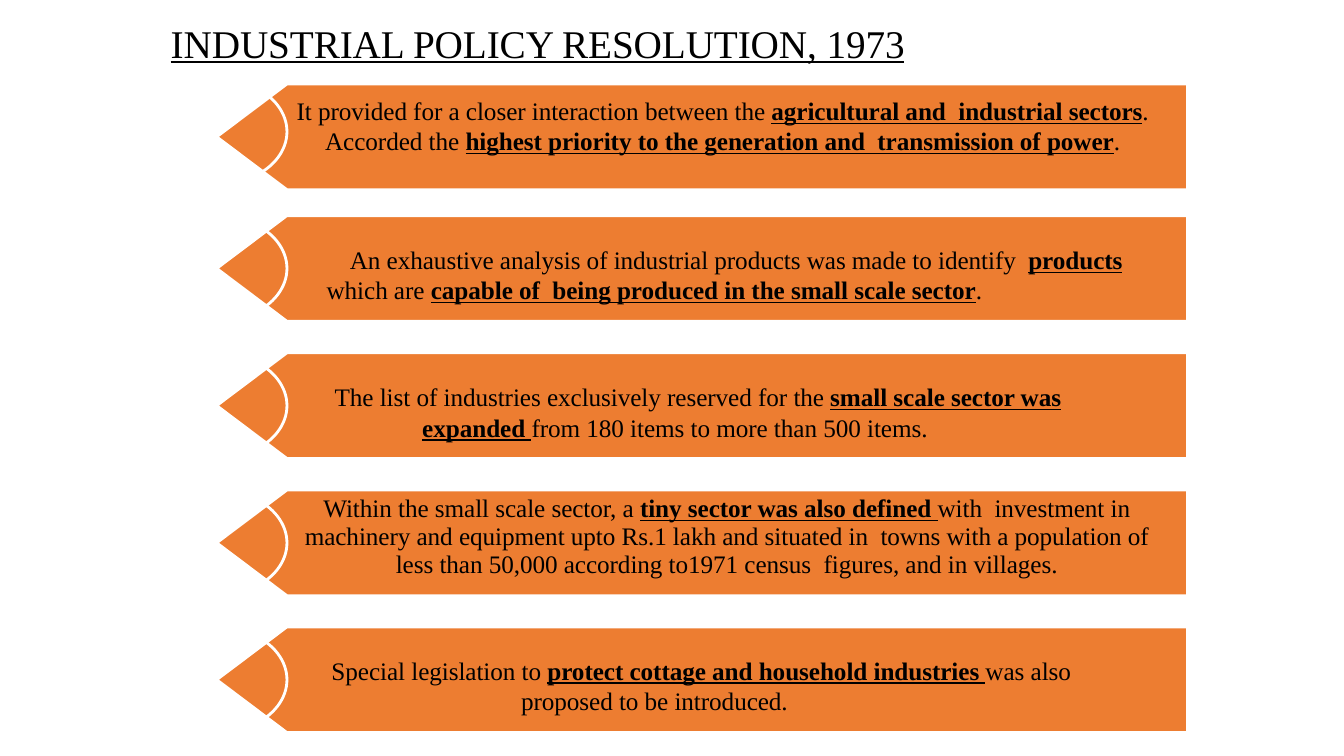
from pptx import Presentation
from pptx.dml.color import RGBColor
from pptx.enum.shapes import MSO_SHAPE
from pptx.enum.text import MSO_ANCHOR, PP_ALIGN
from pptx.util import Pt

OVAL = MSO_SHAPE.OVAL
TOP, MIDDLE = MSO_ANCHOR.TOP, MSO_ANCHOR.MIDDLE
LEFT, CENTER = PP_ALIGN.LEFT, PP_ALIGN.CENTER

COLORS = {"banner": "ED7D31", "outline": "FFFFFF", "text": "000000"}
FONT = "Times New Roman"
TITLE = "INDUSTRIAL POLICY RESOLUTION, 1973"

# Words between asterisks are bold and underlined.
# Text box: left, top, width, height; indent: left margin, first line.
POLICIES = [
    dict(text="It provided for a closer interaction between the *agricultural and  industrial sectors*. "
              "Accorded the *highest priority to the generation and  transmission of power*.",
         banner_top=60, ring_top=56.3, box=(211.7, 65.5, 609, 47),
         align=CENTER, indent=(0, 0), spacing=1),
    dict(text="An exhaustive analysis of industrial products was made to identify  *products* "
              "which are *capable of  being produced in the small scale sector*.",
         banner_top=154, ring_top=154, box=(232.6, 172, 595.5, 47),
         align=LEFT, indent=(0.7, 16.6), spacing=1),
    dict(text="The list of industries exclusively reserved for the *small scale sector was "
              "expanded *from 180 items to more than 500 items.",
         banner_top=252, ring_top=252, box=(238.3, 270, 588, 47),
         align=LEFT, indent=(63.3, -62.6), spacing=1),
    dict(text="Within the small scale sector, a *tiny sector was also defined *with  investment in "
              "machinery and equipment upto Rs.1 lakh and situated in  towns with a population of "
              "less than 50,000 according to1971 census  figures, and in villages.",
         banner_top=350, ring_top=350, box=(211.7, 351.4, 614, 62.6),
         align=CENTER, indent=(0.7, 0), spacing=0.92),
    dict(text="Special legislation to *protect cottage and household industries *was also "
              "proposed to be introduced.",
         banner_top=447.8, ring_top=447.8, box=(236.2, 465.1, 593, 47),
         align=LEFT, indent=(136, -135.4), spacing=1),
]

TIP_X, SHOULDER_X, RIGHT_X = 154.8, 205, 848.2
BANNER_H = 75.5
RING_W = 2 * (SHOULDER_X - TIP_X)

prs = Presentation()
prs.slide_width, prs.slide_height = Pt(960), Pt(540)
slide = prs.slides.add_slide(prs.slide_layouts[6])


def color(key):
    return RGBColor.from_string(COLORS[key])


def outline(shape):
    shape.shadow.inherit = False
    shape.line.color.rgb = color("outline")
    shape.line.width = Pt(2)


def add_banner(top):
    corners = [(SHOULDER_X, top), (TIP_X, top + BANNER_H / 2),
               (SHOULDER_X, top + BANNER_H), (RIGHT_X, top + BANNER_H)]
    builder = slide.shapes.build_freeform(Pt(RIGHT_X), Pt(top))
    builder.add_line_segments([(Pt(x), Pt(y)) for x, y in corners], close=True)
    banner = builder.convert_to_shape()
    banner.fill.solid()
    banner.fill.fore_color.rgb = color("banner")
    outline(banner)


def add_ring(top):
    ring = slide.shapes.add_shape(OVAL, Pt(TIP_X - RING_W / 2), Pt(top), Pt(RING_W), Pt(BANNER_H))
    ring.fill.background()
    outline(ring)


def add_text(box, runs, size, inset, align=LEFT, anchor=TOP, indent=(0, 0), spacing=1):
    frame = slide.shapes.add_textbox(*map(Pt, box)).text_frame
    frame.word_wrap = True
    frame.vertical_anchor = anchor
    frame.margin_left = frame.margin_right = frame.margin_bottom = 0
    frame.margin_top = Pt(inset)
    paragraph = frame.paragraphs[0]
    paragraph.alignment = align
    paragraph.line_spacing = spacing
    properties = paragraph._p.get_or_add_pPr()
    properties.set("marL", str(Pt(indent[0])))
    properties.set("indent", str(Pt(indent[1])))
    for words, bold, underline in runs:
        run = paragraph.add_run()
        run.text = words
        run.font.name = FONT
        run.font.size = Pt(size)
        run.font.bold = bold
        run.font.underline = underline
        run.font.color.rgb = color("text")
        run._r.get_or_add_rPr().set("spc", "-7")


# Banners, each with its text and the ring across its tip
for policy in POLICIES:
    add_banner(policy["banner_top"])
    pieces = policy["text"].split("*")
    runs = [(words, i % 2 == 1, i % 2 == 1) for i, words in enumerate(pieces)]
    add_text(policy["box"], runs, 18, 2.7, policy["align"],
             indent=policy["indent"], spacing=policy["spacing"])
    add_ring(policy["ring_top"])

# Title
add_text((121, 12.2, 610, 35.3), [(TITLE, False, True)], 28, 0.9, anchor=MIDDLE, indent=(0.9, 0))

prs.save("out.pptx")
